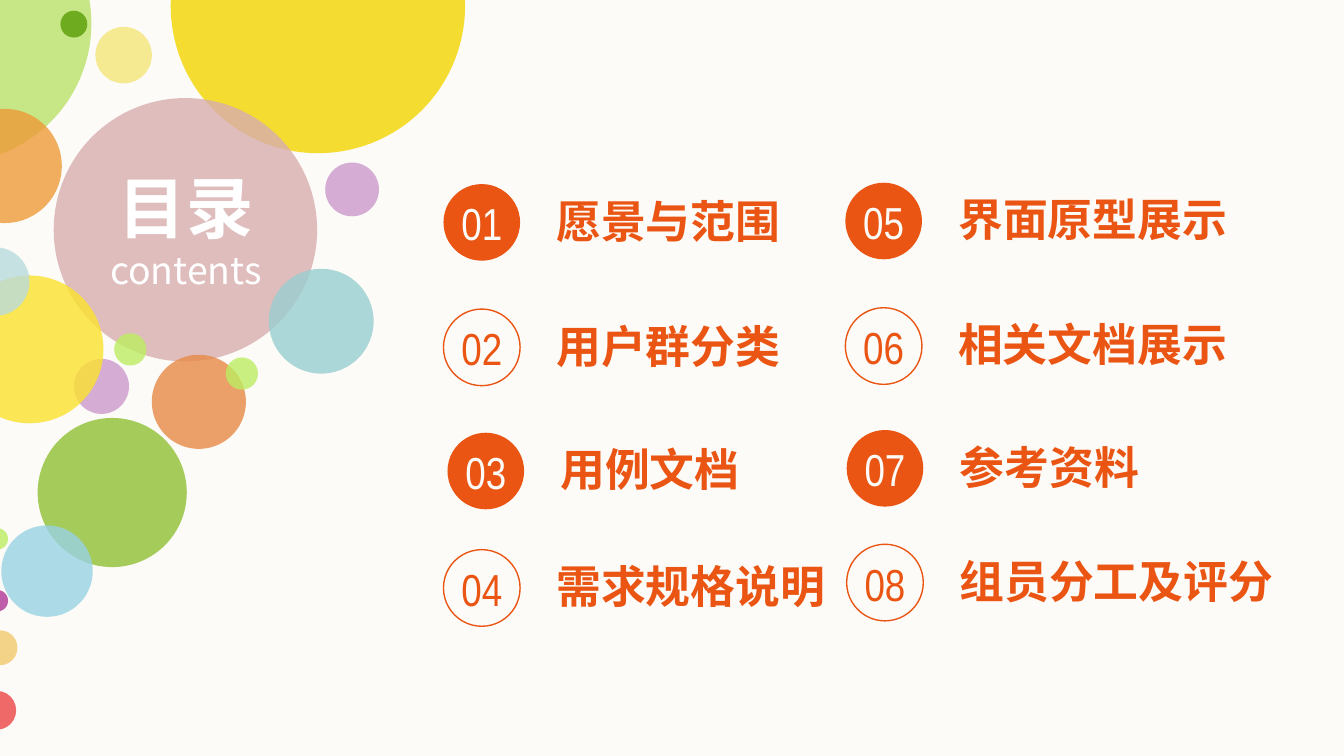
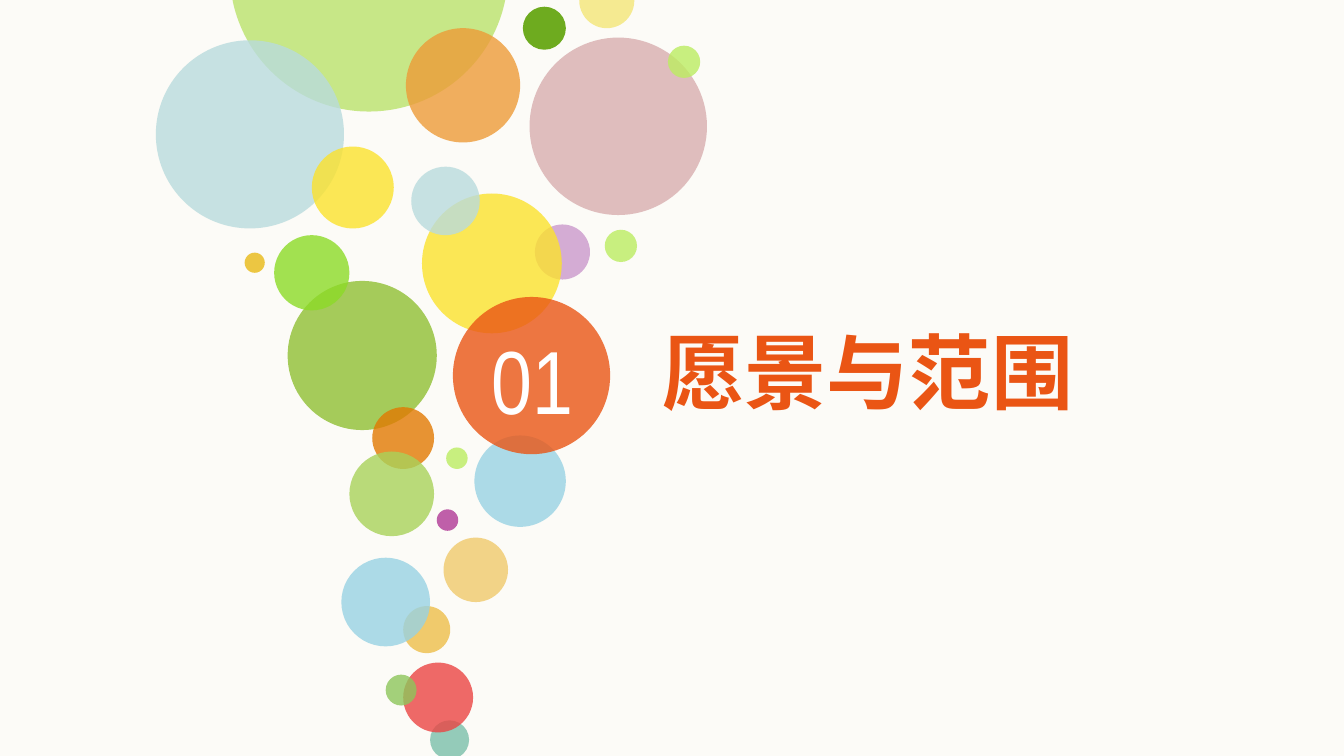
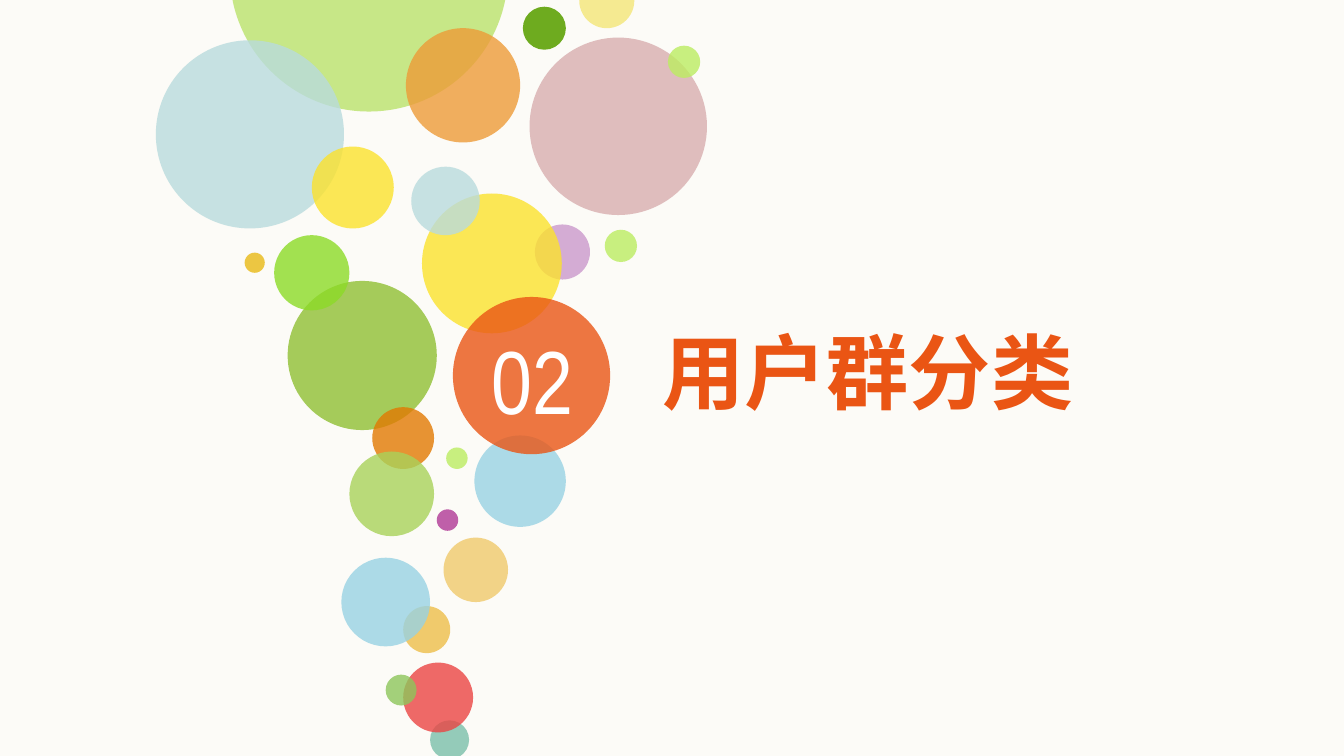
import dataclasses

import lxml.etree
import pptx
import pptx.dml.color
import pptx.enum.shapes
import pptx.enum.text
import pptx.oxml.ns
import pptx.util

Inches = pptx.util.Inches
CENTER = pptx.enum.text.PP_ALIGN.CENTER
LEFT = pptx.enum.text.PP_ALIGN.LEFT


@dataclasses.dataclass(frozen=True)
class Theme:
    paper: str = "FCFBF7"
    white: str = "FFFFFF"
    accent: str = "EA5514"
    lime: str = "BAE36B"
    forest: str = "6EAB1F"
    orange: str = "ED9B38"
    cream: str = "F5EA91"
    yellow: str = "F4D500"
    lemon: str = "FBE22D"
    rose: str = "D8AEAF"
    teal: str = "99CED2"
    lilac: str = "CB99CC"
    copper: str = "E78A47"
    olive: str = "A5CB5A"
    sprout: str = "BCED61"
    magenta: str = "B03896"
    sand: str = "F0CA6C"
    red: str = "EB4544"
    mist: str = "B9DBDD"
    sky: str = "98D2E3"
    green: str = "8CDB27"
    gold: str = "E9B915"
    jade: str = "7BBFAA"
    leaf: str = "8DC65B"
    amber: str = "E27902"
    moss: str = "A9D25A"
    text_font: str = "Noto Sans CJK SC"
    number_font: str = "Arial Narrow"
    agenda_title_size: int = 36
    subtitle_size: int = 20
    item_size: int = 24
    section_title_size: int = 44
    section_number_size: int = 48
    opacity: int = 80


THEME = Theme()
SLIDE_WIDTH = 10

# Bubbles: left, top, diameter, colour, opacity in percent (theme opacity if absent)
AGENDA_BUBBLES = [
    (-1.39, -0.86, 2.07, THEME.lime),
    (0.45, 0.08, 0.2, THEME.forest, 100),
    (-0.39, 0.81, 0.85, THEME.orange),
    (0.71, 0.2, 0.42, THEME.cream, 100),
    (1.27, -1.05, 2.19, THEME.yellow),
    (0.4, 0.73, 1.96, THEME.rose),
    (2, 2, 0.78, THEME.teal),
    (2.42, 1.21, 0.4, THEME.lilac),
    (1.13, 2.64, 0.7, THEME.copper),
    (0.28, 3.11, 1.11, THEME.olive, 100),
    (1.68, 2.66, 0.24, THEME.sprout),
    (0.85, 2.48, 0.24, THEME.sprout),
    (0.55, 2.67, 0.41, THEME.lilac),
    (-0.33, 2.05, 1.1, THEME.lemon),
    (-0.1, 3.93, 0.16, THEME.sprout),
    (-0.1, 4.39, 0.16, THEME.magenta),
    (-0.13, 4.69, 0.26, THEME.sand),
    (-0.17, 5.14, 0.29, THEME.red),
    (-0.29, 1.84, 0.51, THEME.mist),
    (0.01, 3.91, 0.68, THEME.sky),
]
SECTION_BUBBLES = [
    (1.71, -1.24, 2.07, THEME.lime),
    (3.89, 0.05, 0.32, THEME.forest, 100),
    (1.16, 0.3, 1.4, THEME.mist),
    (3.02, 0.21, 0.85, THEME.orange),
    (4.31, -0.2, 0.41, THEME.cream, 100),
    (3.94, 0.28, 1.32, THEME.rose),
    (2.14, 2.09, 1.11, THEME.olive, 100),
    (4.97, 0.34, 0.24, THEME.sprout),
    (4.5, 1.71, 0.24, THEME.sprout),
    (3.98, 1.67, 0.41, THEME.lilac),
    (3.14, 1.44, 1.04, THEME.lemon),
    (2.32, 1.09, 0.61, THEME.lemon),
    (2.04, 1.75, 0.56, THEME.green),
    (1.82, 1.88, 0.15, THEME.gold),
    (3.32, 3.33, 0.16, THEME.sprout),
    (3.25, 3.79, 0.16, THEME.magenta),
    (3.3, 4, 0.48, THEME.sand),
    (3, 4.51, 0.35, THEME.sand, 100),
    (3.2, 5.36, 0.29, THEME.jade),
    (3, 4.93, 0.52, THEME.red),
    (2.87, 5.02, 0.23, THEME.leaf),
    (2.54, 4.15, 0.66, THEME.sky),
    (3.06, 1.24, 0.51, THEME.mist),
    (3.53, 3.24, 0.68, THEME.sky),
    (2.77, 3.03, 0.46, THEME.amber),
    (2.6, 3.36, 0.63, THEME.moss),
    (3.37, 2.21, 1.17, THEME.accent),
]
# Agenda items in numerical order: label, badge left, badge top, label width
AGENDA_ITEMS = [
    ("愿景与范围", 3.3, 1.37, 1.96),
    ("用户群分类", 3.3, 2.3, 1.83),
    ("用例文档", 3.33, 3.22, 1.76),
    ("需求规格说明", 3.3, 4.09, 2.13),
    ("界面原型展示", 6.29, 1.36, 2.21),
    ("相关文档展示", 6.29, 2.29, 2.13),
    ("参考资料", 6.3, 3.2, 2.21),
    ("组员分工及评分", 6.3, 4.05, 2.43),
]
BADGE_SIZE = 0.57


def rgb(value):
    return pptx.dml.color.RGBColor.from_string(value)


class Deck:
    def __init__(self, theme):
        self.theme = theme
        self.presentation = pptx.Presentation()
        self.presentation.slide_width = Inches(SLIDE_WIDTH)
        self.presentation.slide_height = Inches(SLIDE_WIDTH * 9 / 16)
        background = self.presentation.slide_master.background.fill
        background.solid()
        background.fore_color.rgb = rgb(theme.paper)
        self.slide = None

    def new_slide(self, bubbles):
        title_only = self.presentation.slide_layouts[5]
        self.slide = self.presentation.slides.add_slide(title_only)
        for bubble in bubbles:
            self.circle(*bubble)

    def circle(self, left, top, diameter, color, opacity=None, outlined=False):
        shape = self.slide.shapes.add_shape(
            pptx.enum.shapes.MSO_SHAPE.OVAL,
            Inches(left), Inches(top), Inches(diameter), Inches(diameter))
        shape.shadow.inherit = False
        if outlined:
            shape.fill.background()
            shape.line.color.rgb = rgb(color)
            shape.line.width = pptx.util.Pt(0.75)
            return
        shape.line.fill.background()
        shape.fill.solid()
        shape.fill.fore_color.rgb = rgb(color)
        opacity = opacity or self.theme.opacity
        if opacity < 100:
            qn = pptx.oxml.ns.qn
            fill_color = shape.element.spPr.find(f"{qn('a:solidFill')}/{qn('a:srgbClr')}")
            lxml.etree.SubElement(fill_color, qn("a:alpha"), val=str(opacity * 1000))

    def format_text(self, shape, box, lines, color, font, align):
        """Place a text shape and fill it with (text, size, bold) lines."""
        for name, length in zip(("left", "top", "width", "height"), box):
            setattr(shape, name, Inches(length))
        frame = shape.text_frame
        frame_format = {
            "margin_left": 0, "margin_top": 0, "margin_right": 0, "margin_bottom": 0,
            "word_wrap": True,
            "vertical_anchor": pptx.enum.text.MSO_ANCHOR.TOP,
            "auto_size": pptx.enum.text.MSO_AUTO_SIZE.SHAPE_TO_FIT_TEXT,
        }
        for name, value in frame_format.items():
            setattr(frame, name, value)
        for index, (text, size, bold) in enumerate(lines):
            paragraph = frame.add_paragraph() if index else frame.paragraphs[0]
            paragraph.alignment = align
            run = paragraph.add_run()
            run.text = text
            run_format = {"size": pptx.util.Pt(size), "bold": bold, "name": font}
            for name, value in run_format.items():
                setattr(run.font, name, value)
            run.font.color.rgb = rgb(color)
            lxml.etree.SubElement(run._r.get_or_add_rPr(),
                                  pptx.oxml.ns.qn("a:ea"), typeface=font)

    def title(self, box, lines, color, align=LEFT):
        """Fill the title placeholder and bring it in front of the bubbles."""
        shape = self.slide.shapes.title
        self.slide.shapes.element.append(shape.element)
        self.format_text(shape, box, lines, color, self.theme.text_font, align)

    def label(self, box, text):
        shape = self.slide.shapes.add_textbox(0, 0, 0, 0)
        self.format_text(shape, box, [(text, self.theme.item_size, True)],
                         self.theme.accent, self.theme.text_font, LEFT)

    def number(self, box, value, size, color):
        shape = self.slide.shapes.add_textbox(0, 0, 0, 0)
        self.format_text(shape, box, [(f"{value:02d}", size, False)],
                         color, self.theme.number_font, CENTER)

    def agenda_item(self, value, text, left, top, width):
        """Draw a badge, solid for odd numbers and outlined for even ones."""
        theme = self.theme
        outlined = value % 2 == 0
        self.circle(left, top, BADGE_SIZE, theme.accent, 100, outlined)
        self.number((left, top + 0.09, BADGE_SIZE, 0.4), value, theme.item_size,
                    theme.accent if outlined else theme.paper)
        self.label((left + 0.84, top + 0.07, width, 0.4), text)

    def agenda_slide(self):
        theme = self.theme
        self.new_slide(AGENDA_BUBBLES)
        self.title((0.63, 1.24, 1.51, 0.94),
                   [("目录", theme.agenda_title_size, True),
                    ("contents", theme.subtitle_size, False)],
                   theme.white, CENTER)
        for value, item in enumerate(AGENDA_ITEMS, start=1):
            self.agenda_item(value, *item)

    def section_slide(self, value):
        theme = self.theme
        self.new_slide(SECTION_BUBBLES)
        self.number((3.56, 2.42, 0.8, 0.81), value, theme.section_number_size, theme.white)
        self.title((4.93, 2.39, 3.14, 0.74),
                   [(AGENDA_ITEMS[value - 1][0], theme.section_title_size, True)],
                   theme.accent)


def main():
    deck = Deck(THEME)
    deck.agenda_slide()
    for value in (1, 2):
        deck.section_slide(value)
    deck.presentation.save("out.pptx")


if __name__ == "__main__":
    main()
